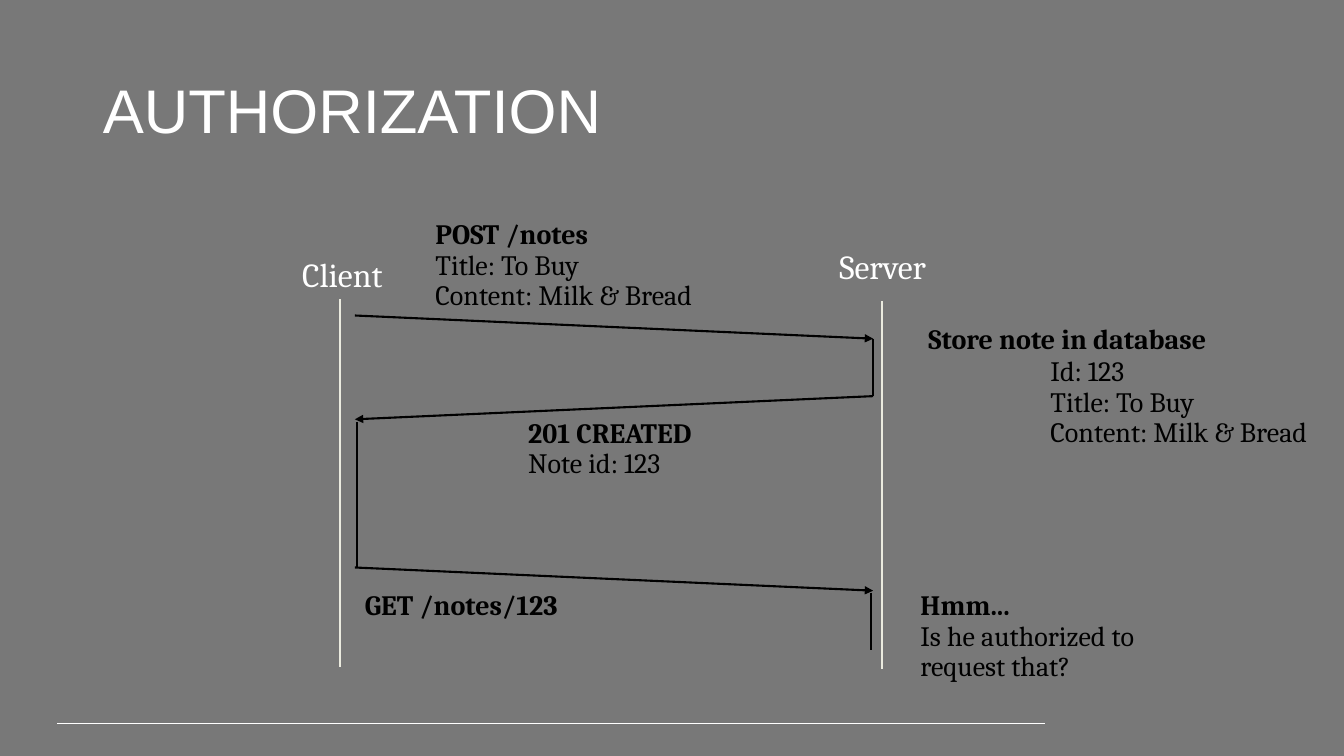
"""Build the authorization slide: a client and server message sequence."""
from lxml import etree
from pptx import Presentation
from pptx import util as u
from pptx.dml.color import RGBColor
from pptx.enum import shapes, text
from pptx.oxml.ns import qn

WIDTH, HEIGHT = 13.33, 7.5
WHITE, BLACK, IVORY, GRAY = "FFFFFF", "000000", "EBEBDF", "787878"
CLIENT, SERVER = 3.52, 8.66
DROP = 0.23

TITLE = ("AUTHORIZATION", (0.92, 0.4, 11.5, 1.45))
ACTORS = [("Client", 2.52, 2.51, 3.37), ("Server", 7.88, 2.44, 8.75)]
ACTOR_SIZE, LIFELINE_GAP, LIFELINE_LENGTH = (1.75, 0.46), 0.46, 3.65
MESSAGES = [(CLIENT, SERVER, 3.13), (SERVER, CLIENT, 3.93), (CLIENT, SERVER, 5.63)]
ACTIVITIES = [(SERVER, 3.36, 3.93), (3.54, 4.19, 5.63), (8.64, 5.88, 6.45)]
NOTES = [
    ("POST /notes", ["Title: To Buy", "Content: Milk & Bread"], (4.22, 2.14, 3.02, 1.01)),
    ("Store note in database", [], (9.11, 3.18, 3.58, 0.4)),
    ("201 CREATED", ["Note id: 123"], (5.14, 4.11, 3.67, 0.71)),
    ("GET /notes/123", [], (3.52, 5.82, 4.56, 0.4)),
    ("Hmm...", ["Is he authorized to request that?"], (9.03, 5.82, 2.41, 1.01)),
    ("", ["Id: 123", "Title: To Buy", "Content: Milk & Bread"], (10.32, 3.5, 3.02, 1.01)),
]


def color(value):
    return RGBColor.from_string(value)


def set_all(target, values):
    for name, value in values.items():
        setattr(target, name, value)


def write(shape, box, lines, size, fill, font="Cambria", align=text.PP_ALIGN.LEFT,
          anchor=text.MSO_ANCHOR.TOP, fit=text.MSO_AUTO_SIZE.SHAPE_TO_FIT_TEXT):
    places = zip(("left", "top", "width", "height"), map(u.Inches, box))
    set_all(shape, dict(places))
    frame = shape.text_frame
    set_all(frame, {"word_wrap": True, "auto_size": fit, "vertical_anchor": anchor})
    paragraph = frame.paragraphs[0]
    set_all(paragraph, {"alignment": align, "line_spacing": 0.9, "space_before": u.Pt(0)})
    for index, (words, bold) in enumerate(lines):
        if index:
            paragraph.add_line_break()
        run = paragraph.add_run()
        run.text = words
        set_all(run.font, {"name": font, "size": u.Pt(size), "bold": bold})
        run.font.color.rgb = color(fill)
    return paragraph


def draw_line(slide, start, end, fill, width=1.5, arrow=False):
    connector = slide.shapes.add_connector(
        shapes.MSO_CONNECTOR.STRAIGHT, *map(u.Inches, start + end))
    connector.line.color.rgb = color(fill)
    connector.line.width = u.Pt(width)
    properties = connector._element.spPr
    if arrow:
        etree.SubElement(properties.find(qn("a:ln")), qn("a:tailEnd"), type="triangle")
    etree.SubElement(properties, qn("a:effectLst"))


def main():
    presentation = Presentation()
    set_all(presentation, {"slide_width": u.Inches(WIDTH), "slide_height": u.Inches(HEIGHT)})
    slide = presentation.slides.add_slide(presentation.slide_layouts[1])
    slide.background.fill.solid()
    slide.background.fill.fore_color.rgb = color(GRAY)

    draw_line(slide, (0.57, 7.18), (10.36, 7.18), WHITE, 0.75)
    heading, box = TITLE
    write(slide.shapes.title, box, [(heading, False)], 44, WHITE, "Arial",
          anchor=text.MSO_ANCHOR.MIDDLE, fit=text.MSO_AUTO_SIZE.NONE)

    for index, (name, left, top, lifeline) in enumerate(ACTORS):
        shape = slide.shapes.add_textbox(0, 0, 0, 0) if index else slide.placeholders[1]
        paragraph = write(shape, (left, top, *ACTOR_SIZE), [(name, False)], 24, WHITE,
                          align=text.PP_ALIGN.CENTER)
        if shape.is_placeholder:
            properties = paragraph._p.get_or_add_pPr()
            set_all_indents = {"marL": "0", "indent": "0"}
            properties.attrib.update(set_all_indents)
            etree.SubElement(properties, qn("a:buNone"))
        start = top + LIFELINE_GAP
        if index:
            start = top + LIFELINE_GAP + 0.09
        draw_line(slide, (lifeline, start), (lifeline, start + LIFELINE_LENGTH), IVORY)

    for source, target, top in MESSAGES:
        draw_line(slide, (source, top), (target, top + DROP), BLACK, arrow=True)
    for position, top, bottom in ACTIVITIES:
        draw_line(slide, (position, top), (position, bottom), BLACK)
    for heading, details, box in NOTES:
        lines = [(heading, True)] if heading else []
        lines += [(detail, False) for detail in details]
        write(slide.shapes.add_textbox(0, 0, 0, 0), box, lines, 20, BLACK)

    presentation.save("out.pptx")


if __name__ == "__main__":
    main()
